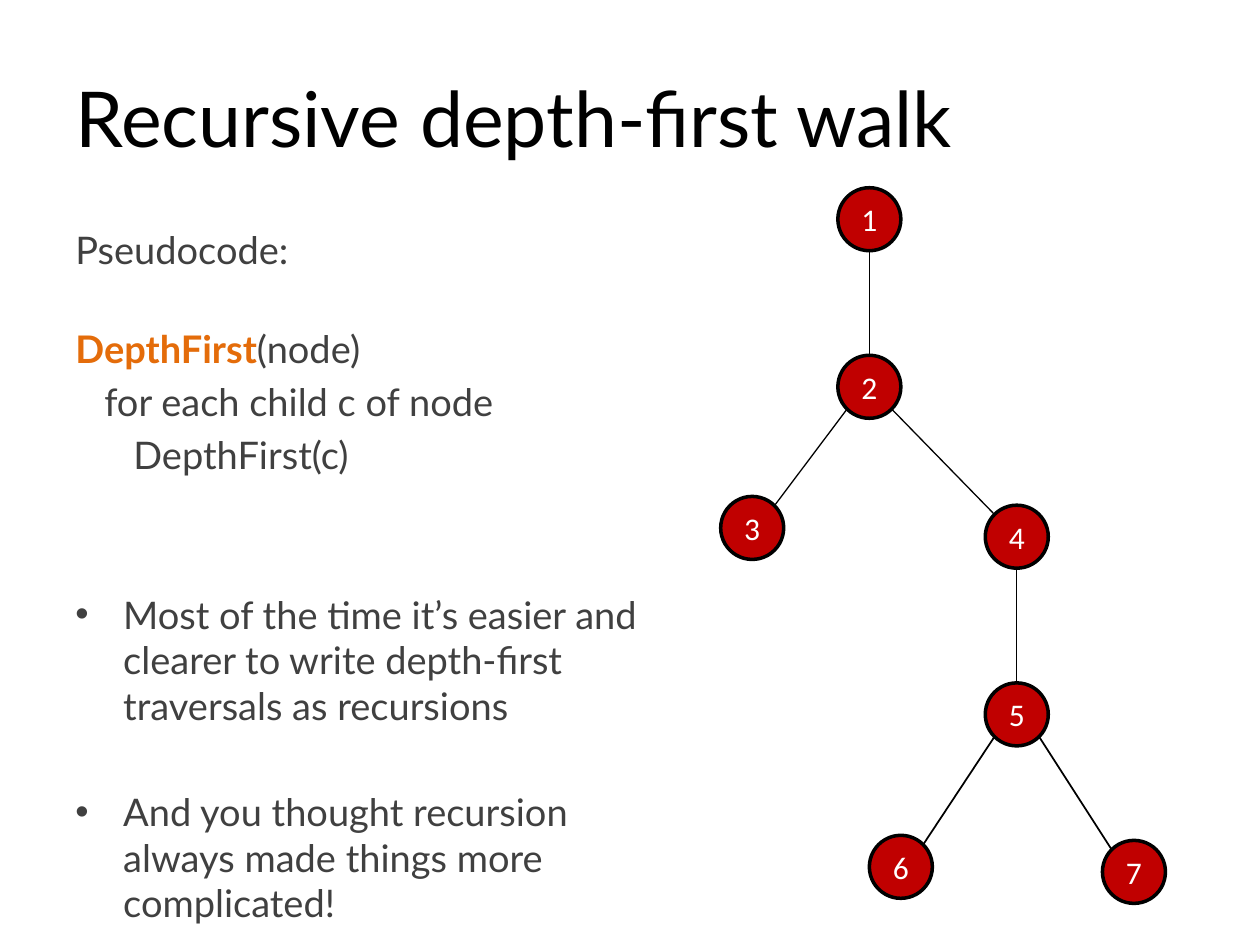
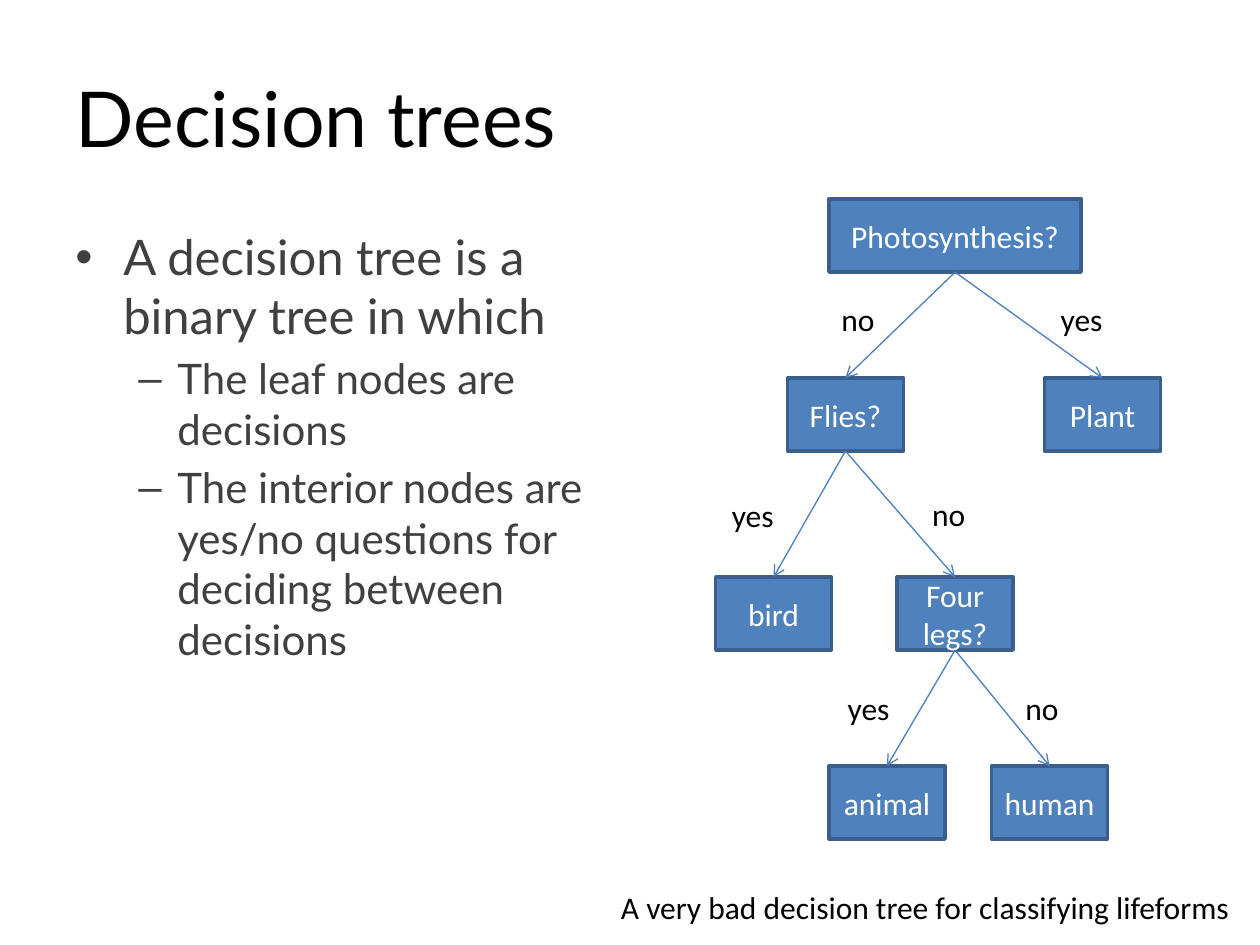
from collections import namedtuple
from dataclasses import dataclass
from math import sqrt

from lxml.etree import SubElement
from pptx import Presentation
from pptx.dml.color import RGBColor as Rgb
from pptx.enum.shapes import MSO_CONNECTOR as Link, MSO_SHAPE as Preset
from pptx.enum.text import MSO_ANCHOR as Anchor, PP_ALIGN as Align
from pptx.oxml.ns import qn
from pptx.util import Inches, Pt

Box = namedtuple("Box", "left top width height")


@dataclass(frozen=True)
class Theme:
    text_font: str = "Lato"
    diagram_font: str = "Calibri"
    bullet_font: str = "Arial"
    black: str = "000000"
    white: str = "FFFFFF"
    body: str = "404040"
    accent: str = "E46C0A"
    node_fill: str = "C00000"
    step_fill: str = "4F81BD"
    step_line: str = "3A5F8C"
    arrow: str = "4B7EBC"
    title_size: float = 44
    point_size: float = 28
    subpoint_size: float = 24
    code_size: float = 21.7
    diagram_size: float = 18
    outline: float = 2
    thin: float = 0.75
    line_height: float = 1.2
    paragraph_gap: float = 0.2


THEME = Theme()
TITLE_BOX = Box(0.5, 0.3, 9, 1.25)


@dataclass
class Para:
    """One body paragraph; skipped is the number of line slots left free above it."""
    runs: list
    size: float
    margin: float = 0
    hanging: float = 0
    bullet: str = ""
    skipped: int = 0


def inches(box):
    return [Inches(length) for length in box]


def add_run(paragraph, text, size, color, font, bold=False):
    run = paragraph.add_run()
    run.text = text
    run.font.size = Pt(size)
    run.font.name = font
    run.font.bold = bold
    run.font.color.rgb = Rgb.from_string(color)


def add_label(slide, box, text, size=THEME.diagram_size,
              font=THEME.diagram_font, anchor=Anchor.TOP, wrap=False):
    frame = slide.shapes.add_textbox(*inches(box)).text_frame
    frame.word_wrap = wrap
    frame.vertical_anchor = anchor
    add_run(frame.paragraphs[0], text, size, THEME.black, font)


def add_title(slide, text):
    add_label(slide, TITLE_BOX, text, THEME.title_size, THEME.text_font,
              Anchor.MIDDLE, wrap=True)


def set_indent(paragraph, entry):
    props = paragraph._p.get_or_add_pPr()
    props.set("marL", str(Inches(entry.margin)))
    props.set("indent", str(-Inches(entry.hanging)))
    if entry.bullet:
        SubElement(props, qn("a:buFont"), typeface=THEME.bullet_font)
        SubElement(props, qn("a:buChar"), char=entry.bullet)


def add_body(slide, box, entries):
    frame = slide.shapes.add_textbox(*inches(box)).text_frame
    frame.word_wrap = True
    for index, entry in enumerate(entries):
        paragraph = frame.add_paragraph() if index else frame.paragraphs[0]
        if index:
            gap = THEME.paragraph_gap + entry.skipped * THEME.line_height
            paragraph.space_before = Pt(round(entry.size * gap, 1))
        set_indent(paragraph, entry)
        for text, color, bold in entry.runs:
            add_run(paragraph, text, entry.size, color, THEME.text_font, bold)


def add_node(slide, preset, box, text, fill, outline):
    node = slide.shapes.add_shape(preset, *inches(box))
    node.shadow.inherit = False
    node.fill.solid()
    node.fill.fore_color.rgb = Rgb.from_string(fill)
    node.line.color.rgb = Rgb.from_string(outline)
    node.line.width = Pt(THEME.outline)
    node.text_frame.word_wrap = True
    node.text_frame.vertical_anchor = Anchor.MIDDLE
    paragraph = node.text_frame.paragraphs[0]
    paragraph.alignment = Align.CENTER
    add_run(paragraph, text, THEME.diagram_size, THEME.white, THEME.diagram_font)
    return node


def add_edge(slide, start, end, color, width, arrow=False):
    edge = slide.shapes.add_connector(Link.STRAIGHT, *inches((*start, *end)))
    edge.line.color.rgb = Rgb.from_string(color)
    edge.line.width = Pt(width)
    if arrow:
        SubElement(edge.line._get_or_add_ln(), qn("a:tailEnd"), type="arrow")
    SubElement(edge._element.spPr, qn("a:effectLst"))
    return edge


def add_walk_tree(slide, box):
    """Numbered circles, joined at their facing poles or diagonal points."""
    diameter = 0.5
    radius = diameter / 2
    offsets = {1: (0.93, 0), 2: (0.93, 1.33), 3: (0, 2.45), 4: (2.1, 2.52),
               5: (2.1, 3.93), 6: (1.18, 5.14), 7: (3.03, 5.18)}
    edges = [(1, 2, THEME.thin), (2, 3, THEME.thin), (2, 4, THEME.thin),
             (4, 5, THEME.thin), (5, 6, 1), (5, 7, 1)]
    centers = {}
    for number, (x, y) in offsets.items():
        left, top = box.left + x, box.top + y
        centers[number] = (left + radius, top + radius)
        add_node(slide, Preset.OVAL, Box(left, top, diameter, diameter),
                 str(number), THEME.node_fill, THEME.black)
    for parent, child, width in edges:
        (x1, y1), (x2, y2) = centers[parent], centers[child]
        side = (x2 > x1) - (x2 < x1)
        reach = radius / sqrt(2) if side else radius
        add_edge(slide, (x1 + side * reach, y1 + reach),
                 (x2 - side * reach, y2 - reach), THEME.black, width)


def add_decision_tree(slide, box):
    height, narrow, wide = 0.58, 0.92, 2
    rows = [0, 1.42, 3, 4.5]
    # text: (row, centre from the left of the box, width)
    steps = {"Photosynthesis?": (0, 1.9, wide),
             "Flies?": (1, 1.03, narrow), "Plant": (1, 3.07, narrow),
             "bird": (2, 0.46, narrow), "Four legs?": (2, 1.9, narrow),
             "animal": (3, 1.36, narrow), "human": (3, 2.65, narrow)}
    # parent, child, answer, left and top of the answer
    answers = [("Photosynthesis?", "Flies?", "no", 0.9, 0.75),
               ("Photosynthesis?", "Plant", "yes", 2.64, 0.75),
               ("Flies?", "bird", "yes", 0.03, 2.31),
               ("Flies?", "Four legs?", "no", 1.62, 2.3),
               ("Four legs?", "animal", "yes", 0.95, 3.84),
               ("Four legs?", "human", "no", 2.36, 3.84)]
    answer_widths = {"no": 0.47, "yes": 0.54}
    nodes, tops = {}, {}
    for text, (row, center, width) in steps.items():
        x, y = box.left + center, box.top + rows[row]
        tops[text] = (x, y)
        nodes[text] = add_node(slide, Preset.RECTANGLE,
                               Box(x - width / 2, y, width, height),
                               text, THEME.step_fill, THEME.step_line)
    for parent, child, answer, x, y in answers:
        parent_x, parent_y = tops[parent]
        edge = add_edge(slide, (parent_x, parent_y + height), tops[child],
                        THEME.arrow, THEME.thin, arrow=True)
        edge.begin_connect(nodes[parent], 2)
        edge.end_connect(nodes[child], 0)
        add_label(slide, Box(box.left + x, box.top + y,
                             answer_widths[answer], 0.4), answer)


def plain(text):
    return [(text, THEME.body, False)]


def build_walk_slide(slide):
    size = THEME.code_size
    step = 0.23
    add_title(slide, "Recursive depth-first walk")
    add_body(slide, Box(0.5, 1.75, 4.83, 4.95), [
        Para(plain("Pseudocode:"), size),
        Para([("DepthFirst", THEME.accent, True), *plain("(node)")], size, skipped=1),
        Para(plain("for each child c of node"), size, step),
        Para(plain("DepthFirst(c)"), size, 2 * step),
        Para(plain("Most of the time it’s easier and clearer to write "
                   "depth-first traversals as recursions"),
             size, 0.38, 0.38, "•", skipped=2.33),
        Para(plain("And you thought recursion always made things more "
                   "complicated!"), size, 0.38, 0.38, "•", skipped=1.17),
    ])
    add_walk_tree(slide, Box(5.72, 1.49, 3.53, 5.68))


def build_decision_slide(slide):
    add_title(slide, "Decision trees")
    subpoints = ["The leaf nodes are decisions",
                 "The interior nodes are yes/no questions for deciding "
                 "between decisions"]
    add_body(slide, Box(0.5, 1.75, 4.42, 4.95), [
        Para(plain("A decision tree is a binary tree in which"),
             THEME.point_size, 0.38, 0.38, "•"),
        *(Para(plain(text), THEME.subpoint_size, 0.81, 0.31, "–")
          for text in subpoints),
    ])
    add_decision_tree(slide, Box(5.68, 1.58, 3.53, 5.08))
    add_label(slide, Box(4.83, 7, 5.09, 0.4),
              "A very bad decision tree for classifying lifeforms")


def main():
    deck = Presentation()
    deck.slide_width, deck.slide_height = Inches(10), Inches(7.5)
    blank = deck.slide_layouts[6]
    for build in (build_walk_slide, build_decision_slide):
        build(deck.slides.add_slide(blank))
    deck.save("out.pptx")


if __name__ == "__main__":
    main()
